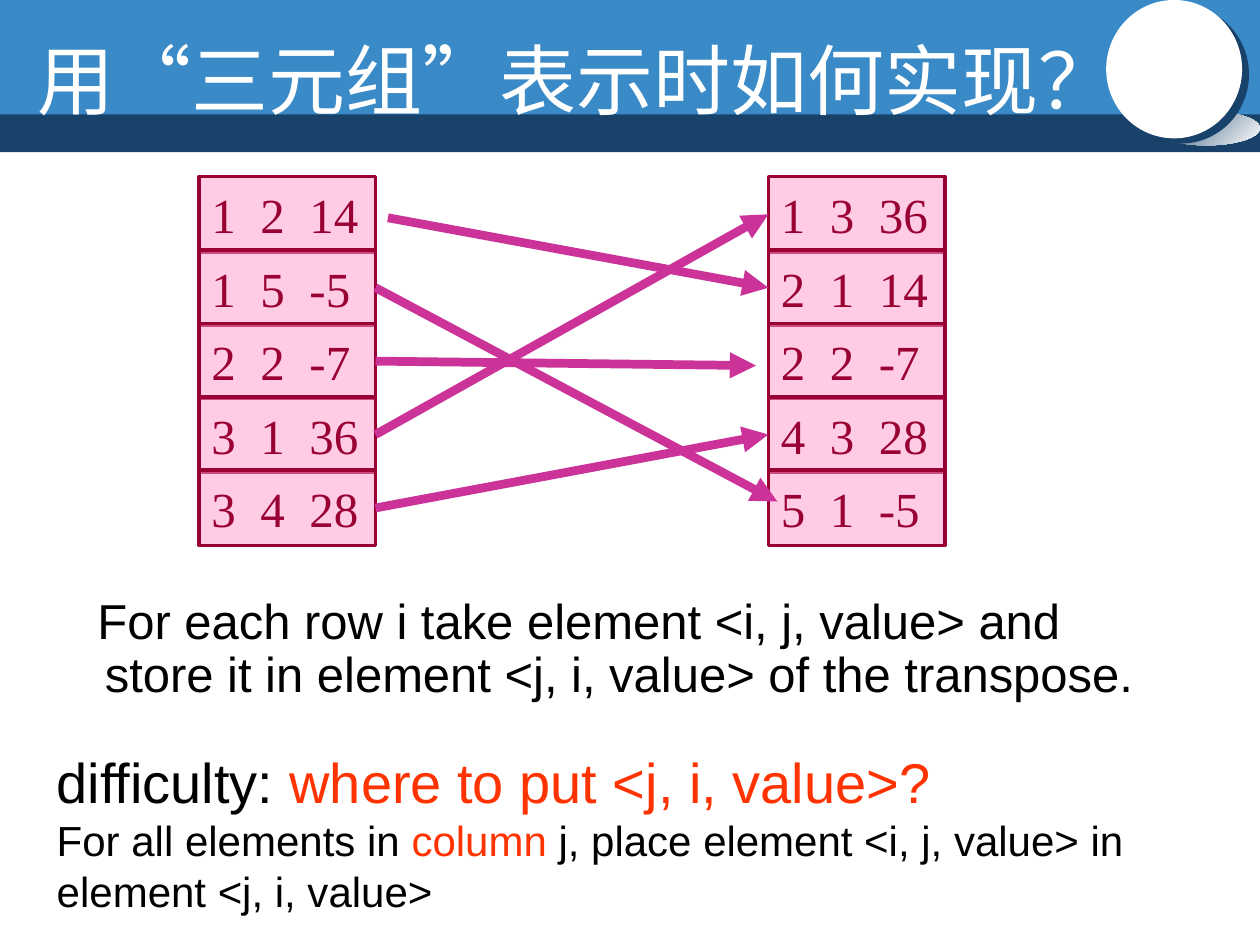
from pptx import Presentation
from pptx.dml.color import RGBColor
from pptx.enum import shapes, text
from pptx.oxml.ns import qn
from pptx.util import Cm, Pt
from lxml import etree

NAVY = RGBColor(0x19, 0x42, 0x6B)
BLUE = RGBColor(0x39, 0x8A, 0xC7)
WHITE = RGBColor(0xFF, 0xFF, 0xFF)
BLACK = RGBColor(0, 0, 0)
PINK = RGBColor(0xFF, 0x99, 0xCC)
WINE = RGBColor(0x99, 0x00, 0x33)
MAGENTA = RGBColor(0xCC, 0x33, 0x99)
ORANGE = RGBColor(0xFF, 0x33, 0x00)

TITLE = "用“三元组”表示时如何实现？"
MATRIX = [(1, 2, 14), (1, 5, -5), (2, 2, -7), (3, 1, 36), (3, 4, 28)]
TRANSPOSE = sorted((j, i, value) for i, j, value in MATRIX)
METHOD = [[("For each row i take element <i, j, value> and store it in "
            "element <j, i, value> of the transpose.", 28, BLACK)]]
DIFFICULTY = [
    [("difficulty: ", 32, BLACK), ("where to put <j, i, value>?", 32, ORANGE)],
    [("For all elements in ", 24, BLACK), ("column", 24, ORANGE),
     (" j, place element <i, j, value> in element <j, i, value>", 24, BLACK)],
]

# Arrow ends that stand off the middle of a cell's side (cm), by matrix row
LOOSE_STARTS = {0: (7.82, 4.39)}
LOOSE_ENDS = {1: (15.67, 10.11), 2: (15.24, 7.37)}

MATRIX_LEFT, TRANSPOSE_LEFT = 4.01, 15.49
ROW_TOP, ROW_PITCH = 3.56, 1.48
CELL_WIDTH, CELL_HEIGHT = 3.56, 1.52
TAB_STEP = 0.99
CELL_FRAME = {"word_wrap": True, "vertical_anchor": text.MSO_ANCHOR.MIDDLE}
BODY_FRAME = {"word_wrap": True, "auto_size": text.MSO_AUTO_SIZE.NONE,
              "vertical_anchor": text.MSO_ANCHOR.TOP}


def apply(target, values):
    for name, value in values.items():
        setattr(target, name, value)


def place(shape, left, top, width, height):
    apply(shape, {"left": Cm(left), "top": Cm(top),
                  "width": Cm(width), "height": Cm(height)})


def add_plain(slide, kind, box, color):
    shape = slide.shapes.add_shape(kind, *map(Cm, box))
    shape.shadow.inherit = False
    shape.fill.solid()
    shape.fill.fore_color.rgb = color
    shape.line.fill.background()
    return shape


def add_run(paragraph, words, size, color, font):
    run = paragraph.add_run()
    run.text = words
    apply(run.font, {"name": font, "size": Pt(size)})
    run.font.color.rgb = color


def add_banner(slide):
    rect, oval = shapes.MSO_SHAPE.RECTANGLE, shapes.MSO_SHAPE.OVAL
    add_plain(slide, rect, (0, 2.21, 25.4, 0.86), NAVY)
    add_plain(slide, rect, (0, 0, 25.4, 2.31), BLUE)
    glow = add_plain(slide, oval, (23.24, 2.24, 2.16, 0.69), NAVY)
    glow.fill.gradient()
    glow.fill.gradient_angle = 315
    for stop, color in zip(glow.fill.gradient_stops, (NAVY, WHITE)):
        stop.color.rgb = color
    disc = add_plain(slide, oval, (22.3, 0, 2.74, 2.79), WHITE)
    effects = disc._element.spPr.find(qn("a:effectLst"))
    shadow = etree.SubElement(effects, qn("a:outerShdw"), dist=str(Pt(5)),
                              dir=str(37 * 60000), algn="ctr", rotWithShape="0")
    etree.SubElement(shadow, qn("a:srgbClr"), val=str(NAVY))


def add_triple(slide, triple, left, row):
    box = (left, ROW_TOP + row * ROW_PITCH, CELL_WIDTH, CELL_HEIGHT)
    cell = add_plain(slide, shapes.MSO_SHAPE.RECTANGLE, box, PINK)
    color = cell._element.spPr.find(qn("a:solidFill"))[0]
    etree.SubElement(color, qn("a:alpha"), val="50000")
    cell.line.color.rgb = WINE
    cell.line.width = Pt(2)
    apply(cell.text_frame, CELL_FRAME)
    paragraph = cell.text_frame.paragraphs[0]
    paragraph.alignment = text.PP_ALIGN.LEFT
    tabs = etree.SubElement(paragraph._p.get_or_add_pPr(), qn("a:tabLst"))
    for column in (1, 2):
        etree.SubElement(tabs, qn("a:tab"), pos=str(Cm(column * TAB_STEP)), algn="l")
    add_run(paragraph, "\t".join(map(str, triple)), 28, WINE, "Times New Roman")
    return cell


def add_arrow(slide, source, target, loose_start, loose_end):
    start, end = loose_start or (0, 0), loose_end or (0, 0)
    arrow = slide.shapes.add_connector(shapes.MSO_CONNECTOR.STRAIGHT,
                                       *map(Cm, start + end))
    if not loose_start:
        arrow.begin_connect(source, 3)
    if not loose_end:
        arrow.end_connect(target, 1)
    arrow.line.color.rgb = MAGENTA
    arrow.line.width = Pt(5)
    etree.SubElement(arrow.line._get_or_add_ln(), qn("a:tailEnd"), type="triangle")
    etree.SubElement(arrow._element.spPr, qn("a:effectLst"))


def fill_body(body, paragraphs, left_indent, first_indent, spacing):
    frame = body.text_frame
    apply(frame, BODY_FRAME)
    for number, runs in enumerate(paragraphs):
        paragraph = frame.add_paragraph() if number else frame.paragraphs[0]
        apply(paragraph, spacing)
        props = paragraph._p.get_or_add_pPr()
        props.set("marL", str(Cm(left_indent)))
        props.set("indent", str(Cm(first_indent)))
        etree.SubElement(props, qn("a:buNone"))
        for words, size, color in runs:
            add_run(paragraph, words, size, color, "Arial")


def main():
    deck = Presentation()
    deck.slide_width, deck.slide_height = Cm(25.4), Cm(19.05)
    slide = deck.slides.add_slide(deck.slide_layouts[3])
    title, method, difficulty = slide.placeholders

    add_banner(slide)
    slide.shapes._spTree.append(title._element)  # in front of the banner
    place(title, 0.51, 0.53, 22.25, 2.11)
    apply(title.text_frame, {**BODY_FRAME, "word_wrap": False})
    heading = title.text_frame.paragraphs[0]
    heading.alignment = text.PP_ALIGN.LEFT
    add_run(heading, TITLE, 44, WHITE, "Times New Roman")

    sources = [add_triple(slide, triple, MATRIX_LEFT, row)
               for row, triple in enumerate(MATRIX)]
    targets = [add_triple(slide, triple, TRANSPOSE_LEFT, row)
               for row, triple in enumerate(TRANSPOSE)]
    for row, (i, j, value) in enumerate(MATRIX):
        target = targets[TRANSPOSE.index((j, i, value))]
        add_arrow(slide, sources[row], target,
                  LOOSE_STARTS.get(row), LOOSE_ENDS.get(row))

    place(method, 0.89, 11.91, 22.86, 2.54)
    fill_body(method, METHOD, 0.97, -0.15,
              {"line_spacing": 0.9, "space_before": Pt(5.6)})
    place(difficulty, 0.89, 14.94, 23.7, 3.63)
    fill_body(difficulty, DIFFICULTY, 0, 0, {"space_before": Pt(0)})
    deck.save("out.pptx")


if __name__ == "__main__":
    main()
